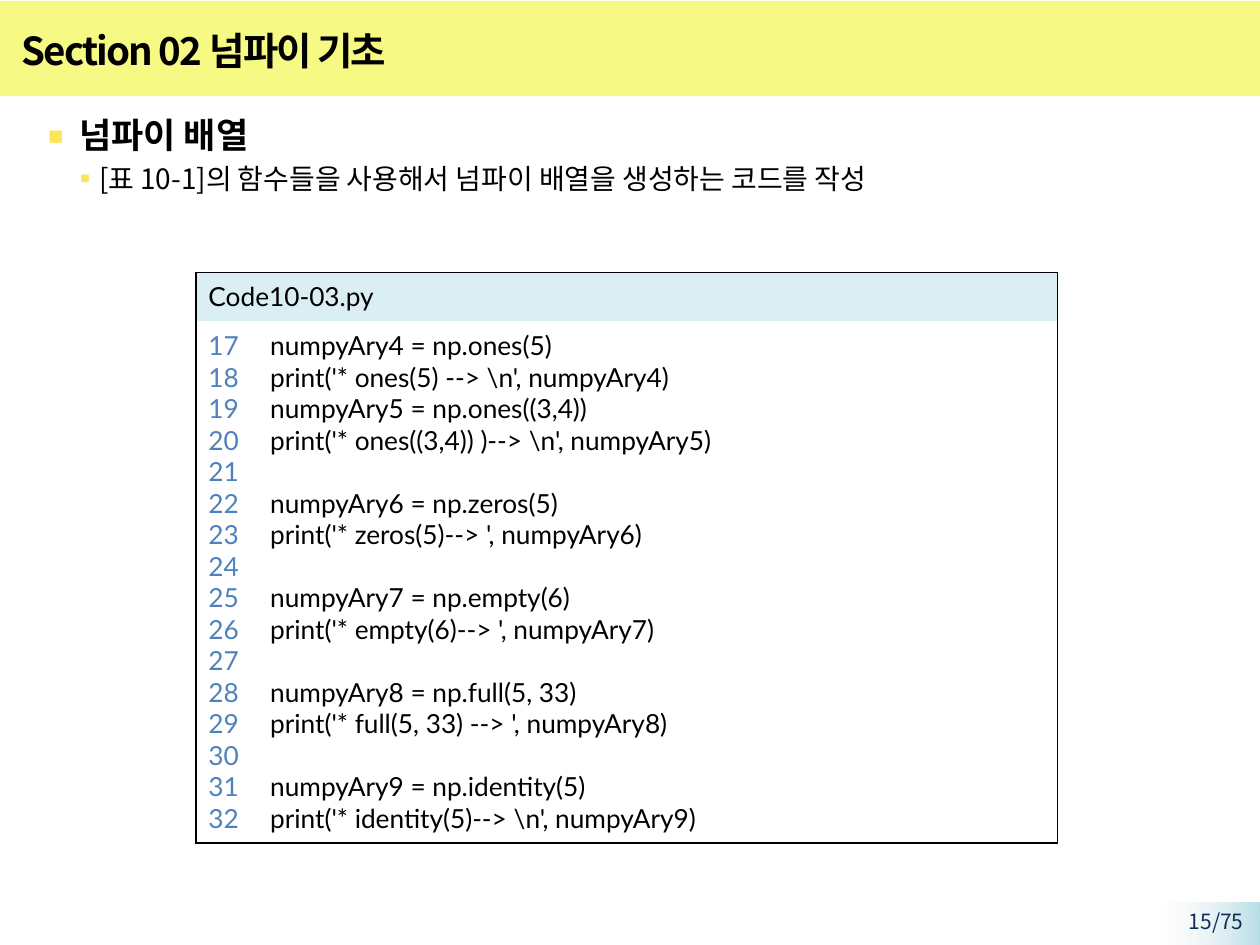
from dataclasses import dataclass

from lxml.etree import SubElement
from pptx import Presentation
from pptx.dml.color import RGBColor
from pptx.enum.shapes import MSO_SHAPE
from pptx.enum.text import MSO_ANCHOR, MSO_AUTO_SIZE, PP_ALIGN
from pptx.oxml.ns import qn
from pptx.util import Pt


@dataclass(frozen=True)
class Theme:
    korean: str = "Noto Sans CJK KR"
    code: str = "Lato"
    black: str = "000000"
    band: str = "F6F983"
    bullet: str = "FFE45B"
    code_header: str = "DBEEF4"
    line_number: str = "4F81BD"
    page_number: str = "0F2E53"
    corner: str = "B7DEE8"
    corner_end: str = "F2F2F2"
    title_size: int = 22
    heading_size: int = 20
    detail_size: int = 16
    code_size: int = 15
    page_size: int = 12


THEME = Theme()
CODE_LINE = THEME.code_size * 1.2
NO_STYLE_TABLE = "{2D5ABB26-0587-4C30-8999-92F81FD0307C}"
FIRST_LINE = 17
CODE_BLOCKS = [
    ["numpyAry4 = np.ones(5)",
     "print('* ones(5) --> \\n', numpyAry4)",
     "numpyAry5 = np.ones((3,4))",
     "print('* ones((3,4)) )--> \\n', numpyAry5)"],
    ["numpyAry6 = np.zeros(5)", "print('* zeros(5)--> ', numpyAry6)"],
    ["numpyAry7 = np.empty(6)", "print('* empty(6)--> ', numpyAry7)"],
    ["numpyAry8 = np.full(5, 33)", "print('* full(5, 33) --> ', numpyAry8)"],
    ["numpyAry9 = np.identity(5)", "print('* identity(5)--> \\n', numpyAry9)"],
]


def color(value):
    return RGBColor.from_string(value)


def write(para, text, *, size, font=THEME.korean, fill=THEME.black, bold=False,
          align=PP_ALIGN.LEFT, before=0, tracking=None):
    """Add one formatted span to a paragraph."""
    para.alignment = align
    para.space_before = Pt(before)
    para.line_spacing = 1.0
    span = para.add_run()
    span.text = text
    span.font.size = Pt(size)
    span.font.bold = bold
    span.font.color.rgb = color(fill)
    span.font.name = font
    properties = span.font._element
    SubElement(properties, qn("a:ea")).set("typeface", font)
    if tracking is not None:
        properties.set("spc", str(tracking * 100))


def place(shape, box):
    shape.left, shape.top, shape.width, shape.height = (Pt(v) for v in box)
    shape.text_frame.word_wrap = True
    shape.text_frame.auto_size = MSO_AUTO_SIZE.NONE


def add_back_rectangle(page, box):
    """Add a plain rectangle behind everything else."""
    shape = page.shapes.add_shape(MSO_SHAPE.RECTANGLE, *(Pt(v) for v in box))
    shape.shadow.inherit = False
    shape.line.fill.background()
    page.shapes._spTree.insert(2, shape._element)
    return shape


def add_bullet(para, indent, hanging, percent):
    properties = para._p.get_or_add_pPr()
    properties.set("marL", str(Pt(indent)))
    properties.set("indent", str(-Pt(hanging)))
    bullet_color = SubElement(properties, qn("a:buClr"))
    SubElement(bullet_color, qn("a:srgbClr")).set("val", THEME.bullet)
    SubElement(properties, qn("a:buSzPct")).set("val", str(percent * 1000))
    SubElement(properties, qn("a:buFont")).set("typeface", THEME.korean)
    SubElement(properties, qn("a:buChar")).set("char", "▪")


def add_title(page, box):
    left, top, width, height = box
    band = add_back_rectangle(page, box)
    band.fill.solid()
    band.fill.fore_color.rgb = color(THEME.band)
    title = page.shapes.title
    place(title, (left + 5, top + 9.5, width - 107, height - 17.5))
    title.text_frame.vertical_anchor = MSO_ANCHOR.MIDDLE
    write(title.text_frame.paragraphs[0], "Section 02 넘파이 기초",
          size=THEME.title_size, bold=True, tracking=-1)


def add_body(page, box):
    body = page.placeholders[1]
    place(body, box)
    frame = body.text_frame
    heading = frame.paragraphs[0]
    add_bullet(heading, 28, 21, 130)
    write(heading, "넘파이 배열", size=THEME.heading_size, bold=True)
    detail = frame.add_paragraph()
    detail.level = 1
    add_bullet(detail, 42.5, 14, 100)
    write(detail, "[표 10-1]의 함수들을 사용해서 넘파이 배열을 생성하는 코드를 작성",
          size=THEME.detail_size, before=3.2)


def draw_borders(cell, sides):
    properties = cell._tc.get_or_add_tcPr()
    for side in sides:
        line = SubElement(properties, qn(f"a:ln{side}"), w=str(Pt(1)))
        paint = SubElement(line, qn("a:solidFill"))
        SubElement(paint, qn("a:srgbClr")).set("val", THEME.black)


def fill_code(numbers, code):
    """Write the numbered lines; one uncoded number separates the blocks."""
    number = FIRST_LINE
    lines = []
    for block in CODE_BLOCKS:
        for position, text in enumerate(block):
            opens_gap = position == 0 and number > FIRST_LINE
            if opens_gap:
                number += 1
            lines.append((text, CODE_LINE if opens_gap else 0))
            number += 1
    columns = (
        (numbers, [(str(n), 0) for n in range(FIRST_LINE, number)], THEME.line_number),
        (code, lines, THEME.black),
    )
    for cell, rows, fill in columns:
        frame = cell.text_frame
        for index, (text, before) in enumerate(rows):
            para = frame.add_paragraph() if index else frame.paragraphs[0]
            write(para, text, size=THEME.code_size, font=THEME.code,
                  fill=fill, before=before)


def add_code_table(page, box):
    left, top, width, height = box
    header_height, number_width = 28, 35.3
    table = page.shapes.add_table(2, 2, *(Pt(v) for v in box)).table
    table.first_row = table.horz_banding = False
    table._tbl.tblPr.find(qn("a:tableStyleId")).text = NO_STYLE_TABLE
    table.columns[0].width = Pt(number_width)
    table.columns[1].width = Pt(width - number_width)
    table.rows[0].height = Pt(header_height)
    table.rows[1].height = Pt(height - header_height)
    header, header_end = table.cell(0, 0), table.cell(0, 1)
    numbers, code = table.cell(1, 0), table.cell(1, 1)
    header.merge(header_end)
    borders = ((header, "LRT"), (header_end, "RT"), (numbers, "LB"), (code, "RB"))
    for cell, sides in borders:
        draw_borders(cell, sides)
        cell.margin_left = cell.margin_right = Pt(7.2)
        cell.margin_top = cell.margin_bottom = Pt(5)
        cell.fill.background()
    header.fill.solid()
    header.fill.fore_color.rgb = color(THEME.code_header)
    write(header.text_frame.paragraphs[0], "Code10-03.py",
          size=THEME.code_size, font=THEME.code)
    fill_code(numbers, code)


def add_page_number(page, box):
    left, top, width, height = box
    corner = add_back_rectangle(page, box)
    corner.fill.gradient()
    corner.fill.gradient_angle = 180
    start, end = corner.fill.gradient_stops
    start.position, end.position = 0, 1
    start.color.rgb = color(THEME.corner)
    end.color.rgb = color(THEME.corner_end)
    clear = corner._element.findall(".//" + qn("a:gs"))[1].find(qn("a:srgbClr"))
    SubElement(clear, qn("a:alpha")).set("val", "0")
    label = page.shapes.add_textbox(0, 0, 0, 0)
    place(label, (left - 10.8, top, width + 8.6, 16.6))
    write(label.text_frame.paragraphs[0], "15/75", size=THEME.page_size,
          fill=THEME.page_number, align=PP_ALIGN.RIGHT)


def main():
    deck = Presentation()
    deck.slide_width, deck.slide_height = Pt(720), Pt(540)
    page = deck.slides.add_slide(deck.slide_layouts[1])
    add_title(page, (0, 0.5, 720, 54.5))
    add_body(page, (5, 61.2, 705.6, 446.4))
    add_code_table(page, (111.9, 155.6, 492.5, 326))
    add_page_number(page, (662.4, 515.5, 57.6, 24.5))
    deck.save("out.pptx")


if __name__ == "__main__":
    main()
